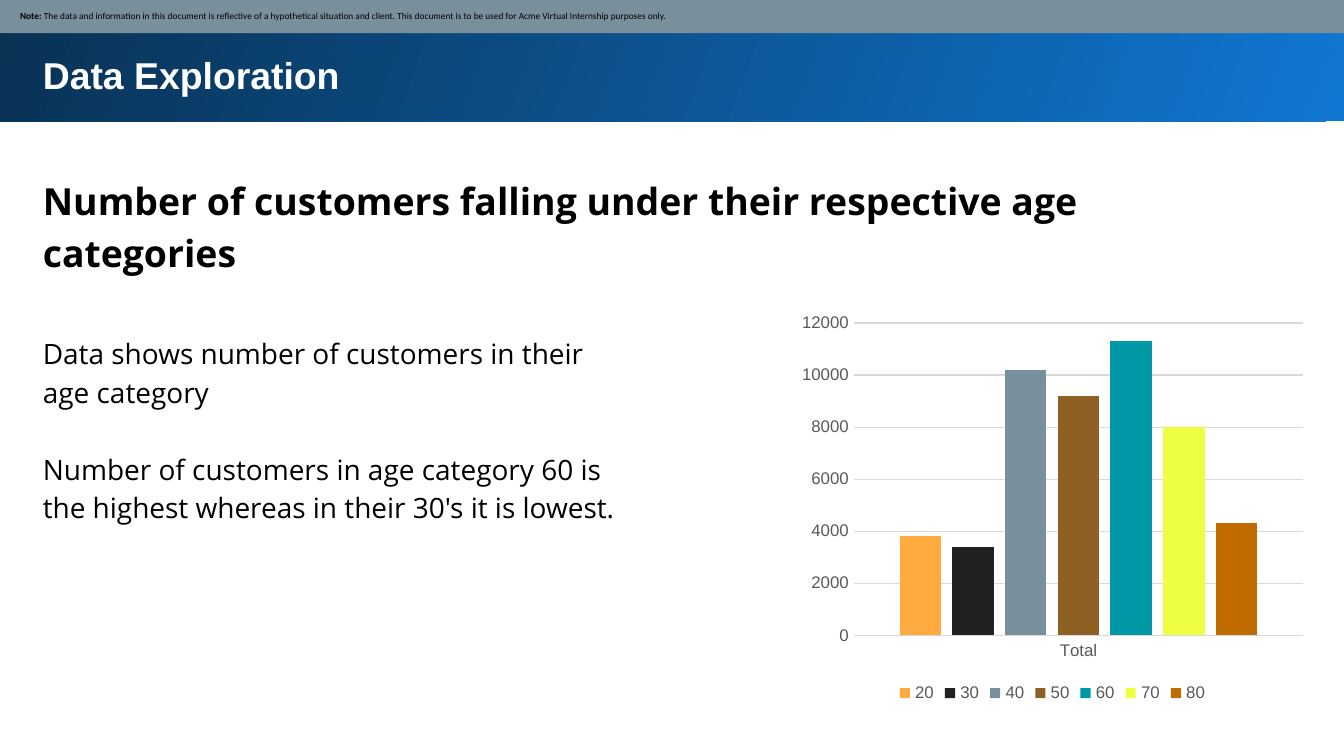
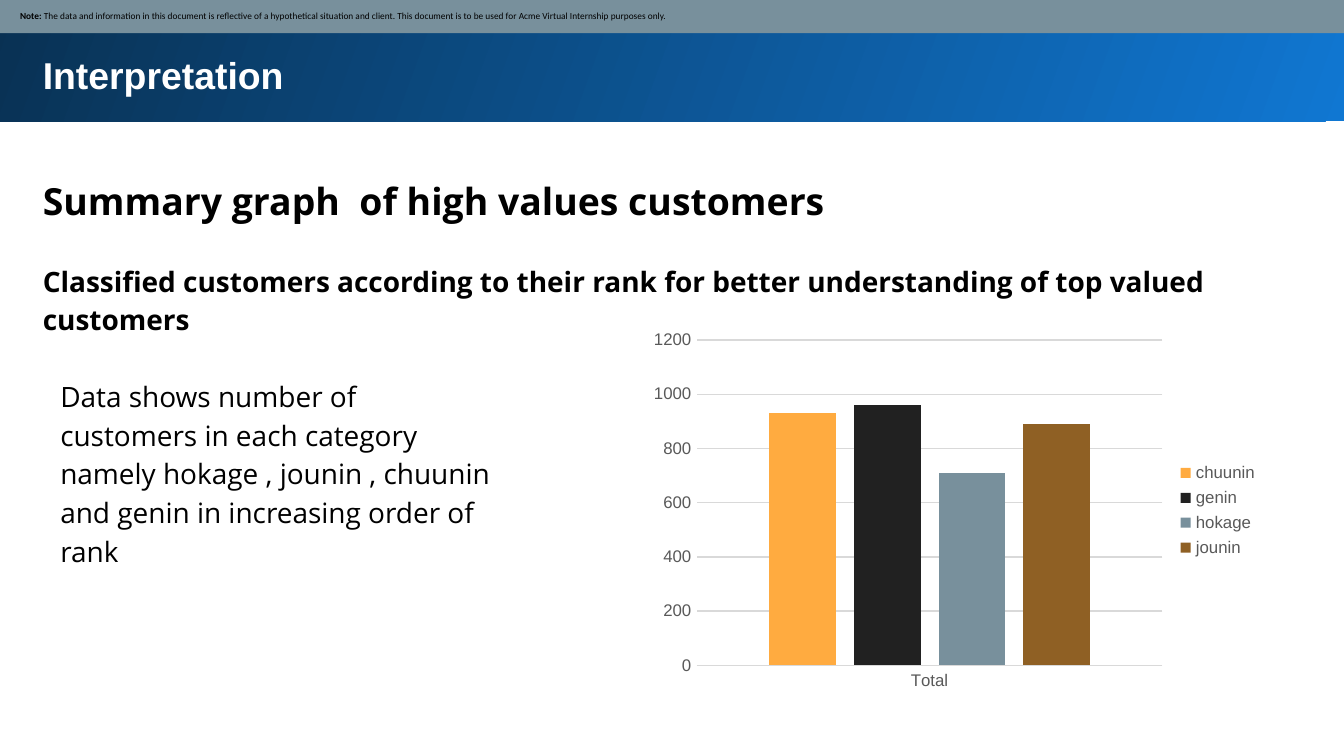
from pptx import Presentation
from pptx.chart.data import CategoryChartData
from pptx.dml.color import RGBColor
from pptx.enum.chart import XL_CHART_TYPE as ChartType, XL_LEGEND_POSITION as LegendPosition
from pptx.enum.chart import XL_TICK_MARK as TickMark
from pptx.enum.shapes import MSO_SHAPE as Preset
from pptx.enum.text import MSO_ANCHOR as Anchor, MSO_AUTO_SIZE as AutoSize
from pptx.util import Cm, Pt

SLIDE_WIDTH, SLIDE_HEIGHT = 25.4, 14.29
TEXT_LEFT, TEXT_WIDTH = 0.56, 23.8
BAND_BOX = (-0.05, -0.05, 25.53, 2.34)
TITLE_BOX = (TEXT_LEFT, 0.74, TEXT_WIDTH, 1.3)
NOTICE_BOX = (-0.03, -0.03, 25.48, 0.66)

BRIGHT_BLUE, DEEP_BLUE = "1077D2", "093153"
SLATE, BLACK, WHITE = "78909C", "000000", "FFFFFF"
AXIS_TEXT, GRID_LINE = "595959", "D9D9D9"
SERIES_COLOURS = ("FFAB40", "212121", SLATE, "8F6024", "0097A7", "EEFF41", "BF6B00")

TITLE_FONT = {"name": "Arial", "size": Pt(20), "bold": True}
HEADING_FONT = {"name": "Open Sans", "size": Pt(20), "bold": True}
SUBHEADING_FONT = {"name": "Open Sans", "size": Pt(15), "bold": True}
BODY_FONT = {"name": "Open Sans", "size": Pt(15), "bold": False}
NOTICE_FONT = {"name": "Calibri", "size": Pt(5)}
CHART_FONT = {"name": "Arial", "size": Pt(9)}

NOTICE = (
    "The data and information in this document is reflective of a hypothetical situation "
    "and client. This document is to be used for Acme Virtual Internship purposes only."
)


def colour(hex_code):
    """Turn a hex string into a colour."""
    return RGBColor.from_string(hex_code)


def apply(target, values):
    """Set each named attribute of the target."""
    for name, value in values.items():
        setattr(target, name, value)


def style_font(font, values, hex_code):
    """Give a font its format values and colour."""
    apply(font, values)
    font.color.rgb = colour(hex_code)


def place(box):
    """Convert a box in centimetres to lengths."""
    return [Cm(length) for length in box]


def set_margins(frame, margin):
    """Give a text frame equal margins."""
    apply(frame, {f"margin_{side}": Cm(margin) for side in ("left", "top", "right", "bottom")})


def add_text(slide, box, paragraphs, font, hex_code=BLACK, line_spacing=1.15):
    """Write paragraphs one line apart in a wrapping box."""
    frame = slide.shapes.add_textbox(*place(box)).text_frame
    apply(frame, {"word_wrap": True, "auto_size": AutoSize.SHAPE_TO_FIT_TEXT})
    set_margins(frame, 0.25)
    for index, words in enumerate(paragraphs):
        paragraph = frame.add_paragraph() if index else frame.paragraphs[0]
        paragraph.line_spacing = line_spacing
        if index:
            paragraph.space_before = Pt(20.5)
        run = paragraph.add_run()
        run.text = words
        style_font(run.font, font, hex_code)


def add_bar(slide, box):
    """Add a rectangle with neither outline nor shadow."""
    bar = slide.shapes.add_shape(Preset.RECTANGLE, *place(box))
    bar.shadow.inherit = False
    bar.line.fill.background()
    return bar


def add_title_band(slide, title):
    """Draw the gradient band and its title."""
    band = add_bar(slide, BAND_BOX)
    band.fill.gradient()
    band.fill.gradient_angle = 160
    for stop, hex_code in zip(band.fill.gradient_stops, (BRIGHT_BLUE, DEEP_BLUE)):
        stop.color.rgb = colour(hex_code)
    add_text(slide, TITLE_BOX, [title], TITLE_FONT, WHITE, 1.0)


def add_notice(slide):
    """Draw the disclaimer strip along the top edge."""
    strip = add_bar(slide, NOTICE_BOX)
    strip.fill.solid()
    strip.fill.fore_color.rgb = colour(SLATE)
    frame = strip.text_frame
    set_margins(frame, 0.13)
    apply(frame, {"margin_left": Cm(0.41), "vertical_anchor": Anchor.MIDDLE, "word_wrap": True})
    paragraph = frame.paragraphs[0]
    paragraph.alignment = 1
    for words, bold in (("Note: ", True), (NOTICE, False)):
        run = paragraph.add_run()
        run.text = words
        style_font(run.font, {**NOTICE_FONT, "bold": bold}, BLACK)


def add_totals_chart(slide, box, totals, top, step, legend_position):
    """Chart one column for each named total."""
    data = CategoryChartData()
    data.categories = ["Total"]
    for name, total in totals.items():
        data.add_series(name, [total])
    chart = slide.shapes.add_chart(ChartType.COLUMN_CLUSTERED, *place(box), data).chart
    apply(chart, {"has_title": False, "has_legend": True})
    style_font(chart.font, CHART_FONT, AXIS_TEXT)
    apply(chart.legend, {"position": legend_position, "include_in_layout": False})
    style_font(chart.legend.font, CHART_FONT, AXIS_TEXT)

    plot = chart.plots[0]
    apply(plot, {"gap_width": 219, "overlap": -27, "vary_by_categories": False})
    for series, hex_code in zip(plot.series, SERIES_COLOURS):
        series.format.fill.solid()
        series.format.fill.fore_color.rgb = colour(hex_code)

    categories, values = chart.category_axis, chart.value_axis
    for axis in (categories, values):
        apply(axis, {"major_tick_mark": TickMark.NONE, "minor_tick_mark": TickMark.NONE})
        style_font(axis.tick_labels.font, CHART_FONT, AXIS_TEXT)
    apply(values, {"minimum_scale": 0, "maximum_scale": top, "major_unit": step})
    values.format.line.fill.background()
    for line in (categories.format.line, values.major_gridlines.format.line):
        line.color.rgb = colour(GRID_LINE)
        line.width = Pt(0.75)


def add_page(deck, title):
    """Start a slide with the shared band and notice."""
    slide = deck.slides.add_slide(deck.slide_layouts[6])
    add_title_band(slide, title)
    add_notice(slide)
    return slide


def build_exploration(deck):
    """Show customers by age category."""
    slide = add_page(deck, "Data Exploration")
    heading = "Number of customers falling under their respective age categories"
    add_text(slide, (TEXT_LEFT, 3, TEXT_WIDTH, 2.41), [heading], HEADING_FONT)
    findings = [
        "Data shows number of customers in their age category",
        "Number of customers in age category 60 is the highest whereas in their 30's it is lowest.",
    ]
    add_text(slide, (TEXT_LEFT, 6.02, 11.48, 4.9), findings, BODY_FONT)
    customers_by_age = {
        "20": 3800, "30": 3400, "40": 10200, "50": 9200, "60": 11300, "70": 8000, "80": 4300,
    }
    add_totals_chart(slide, (14.96, 5.77, 9.86, 7.62), customers_by_age,
                     12000, 2000, LegendPosition.BOTTOM)


def build_interpretation(deck):
    """Show high value customers by rank."""
    slide = add_page(deck, "Interpretation")
    heading = "Summary graph  of high values customers"
    add_text(slide, (TEXT_LEFT, 3, TEXT_WIDTH, 1.42), [heading], HEADING_FONT)
    subheading = (
        "Classified customers according to their rank for better understanding "
        "of top valued customers"
    )
    add_text(slide, (TEXT_LEFT, 4.65, 23.09, 1.93), [subheading], SUBHEADING_FONT)
    finding = (
        "Data shows number of customers in each category namely hokage , jounin , chuunin "
        "and genin in increasing order of rank"
    )
    add_text(slide, (0.89, 6.83, 8.79, 4.17), [finding], BODY_FONT)
    customers_by_rank = {"chuunin": 930, "genin": 960, "hokage": 710, "jounin": 890}
    add_totals_chart(slide, (12.12, 6.1, 11.91, 7.09), customers_by_rank,
                     1200, 200, LegendPosition.RIGHT)


def main():
    """Build and save the deck."""
    deck = Presentation()
    apply(deck, {"slide_width": Cm(SLIDE_WIDTH), "slide_height": Cm(SLIDE_HEIGHT)})
    build_exploration(deck)
    build_interpretation(deck)
    deck.save("out.pptx")


if __name__ == "__main__":
    main()
